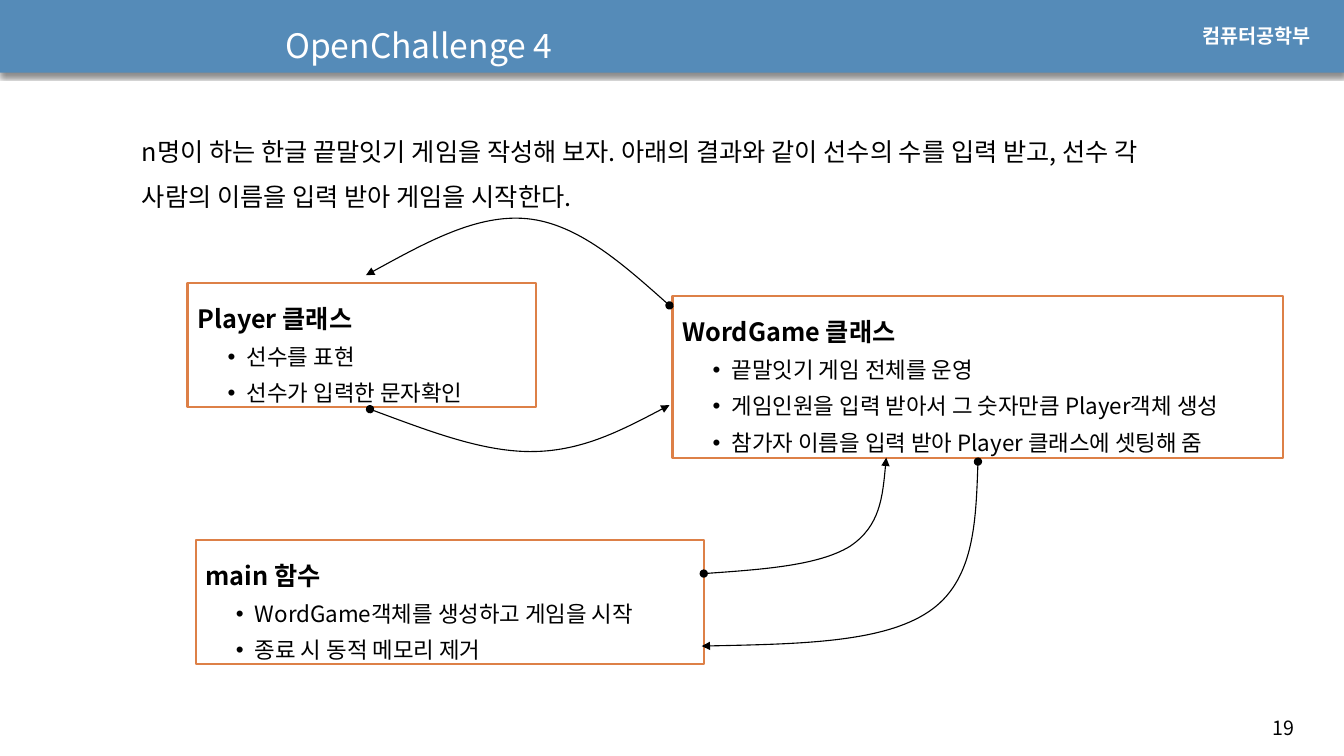
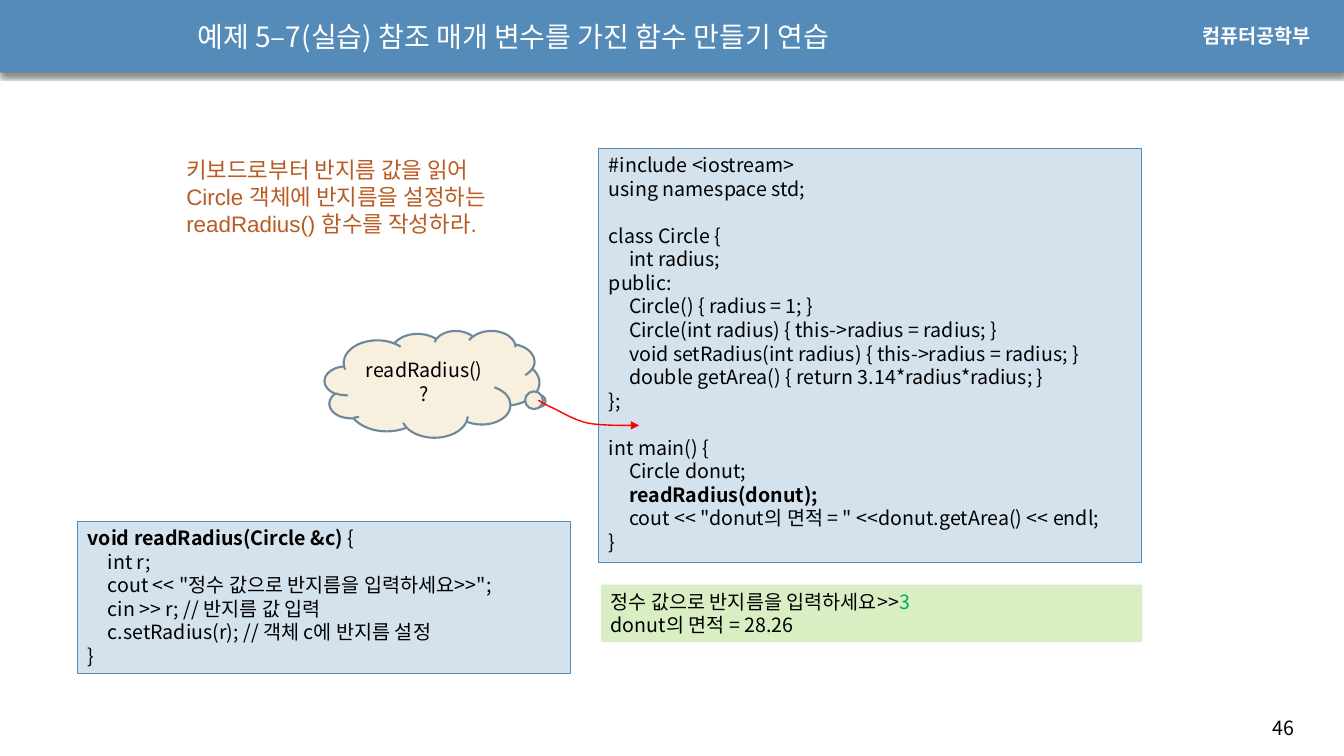
"""Build two C++ lecture slides: a word-chain game design and a reference-parameter exercise."""
from dataclasses import dataclass

from lxml import etree
from pptx import Presentation
from pptx import util as u
from pptx.dml.color import RGBColor
from pptx.enum import shapes, text
from pptx.oxml.ns import qn


@dataclass(frozen=True)
class Theme:
    band: str = "558BB8"
    white: str = "FFFFFF"
    ink: str = "000000"
    class_line: str = "DD8047"
    code_fill: str = "D4E2ED"
    result_fill: str = "DAEEC4"
    cloud_fill: str = "F7F0DE"
    cloud_line: str = "6D879B"
    task: str = "B95B22"
    typed: str = "00B050"
    pointer: str = "FF0000"
    font: str = "Noto Sans CJK KR"
    plain_font: str = "Arial"
    title: int = 24
    long_title: int = 20
    heading: int = 18
    body: int = 16
    small: int = 14
    single: float = 1.2
    loose: float = 1.8
    bullet_pitch: int = 26


THEME = Theme()
BOLD = {"bold": True}
DEPARTMENT = "컴퓨터공학부"

GAME_TITLE = ("OpenChallenge 4", (2.73, 0.13, 3.15, 0.63), THEME.title, "19")
GAME_INTRO = ("n명이 하는 한글 끝말잇기 게임을 작성해 보자. 아래의 결과와 같이 선수의 수를 입력 받고, "
              "선수 각 사람의 이름을 입력 받아 게임을 시작한다.")
GAME_PARTS = [
    ("Player 클래스", (1.86, 2.81, 3.46, 1.23), ["선수를 표현", "선수가 입력한 문자확인"]),
    ("main 함수", (1.94, 5.36, 5.04, 1.23),
     ["WordGame객체를 생성하고 게임을 시작", "종료 시 동적 메모리 제거"]),
    ("WordGame 클래스", (6.67, 2.94, 6.06, 1.6),
     ["끝말잇기 게임 전체를 운영",
      "게임인원을 입력 받아서 그 숫자만큼 Player객체 생성",
      "참가자 이름을 입력 받아 Player 클래스에 셋팅해 줌"]),
]
GAME_CALLS = [
    [(6.64, 3.03), (6.19, 2.63), (5.73, 2.22), (5.23, 2.17),
     (4.73, 2.12), (4.18, 2.43), (3.63, 2.73)],
    [(3.67, 4.06), (4.24, 4.27), (4.8, 4.49), (5.3, 4.48),
     (5.79, 4.47), (6.22, 4.24), (6.64, 4.02)],
    [(6.98, 5.69), (7.55, 5.65), (8.12, 5.61), (8.43, 5.42),
     (8.73, 5.22), (8.76, 4.88), (8.79, 4.54)],
    [(9.7, 4.58), (9.68, 5.17), (9.66, 5.77), (9.21, 6.07),
     (8.75, 6.38), (7.86, 6.39), (6.96, 6.41)],
]

RADIUS_TITLE = ("예제 5–7(실습) 참조 매개 변수를 가진 함수 만들기 연습",
                (1.86, 0.05, 7.4, 0.63), THEME.long_title, "46")
RADIUS_TASK = ["키보드로부터 반지름 값을 읽어", "Circle 객체에 반지름을 설정하는",
               "readRadius() 함수를 작성하라."]
CIRCLE_CODE = [
    "#include <iostream>",
    "using namespace std;",
    "",
    "class Circle {",
    "\tint radius;",
    "public:",
    "\tCircle() { radius = 1; }",
    "\tCircle(int radius) { this->radius = radius; }",
    "\tvoid setRadius(int radius) { this->radius = radius; }",
    "\tdouble getArea() { return 3.14*radius*radius; }",
    "};",
    "",
    "int main() {",
    "\tCircle donut;",
    [("\t", {}), ("readRadius(donut);", BOLD)],
    "\tcout << \"donut의 면적 = \" <<donut.getArea() << endl;",
    "}",
]
READ_CODE = [
    [("void readRadius(Circle &c) ", BOLD), ("{", {})],
    "\tint r;",
    "\tcout << \"정수 값으로 반지름을 입력하세요>>\";",
    "\tcin >> r; // 반지름 값 입력",
    "\tc.setRadius(r); // 객체 c에 반지름 설정",
    "}",
]
RESULT = [
    [("정수 값으로 반지름을 입력하세요>>", {}), ("3", {"color": THEME.typed})],
    "donut의 면적 = 28.26",
]
CODE_PANELS = [((5.94, 1.47, 5.38, 4.11), CIRCLE_CODE), ((0.77, 5.17, 4.89, 1.51), READ_CODE)]
CLOUD_TEXT = "readRadius() ?"
CLOUD_POINTER = [(5.34, 3.97), (5.37, 3.99), (5.4, 4.01), (5.49, 4.05),
                 (5.57, 4.09), (5.7, 4.17), (5.84, 4.2),
                 (5.98, 4.22), (6.16, 4.22), (6.34, 4.22)]


def inches(values):
    return [u.Inches(value) for value in values]


def style_run(run, size, color=THEME.ink, bold=False, font=THEME.font):
    run.font.size = u.Pt(size)
    run.font.bold = bold
    run.font.name = font
    run.font.color.rgb = RGBColor.from_string(color)
    latin = run.font._element.find(qn("a:latin"))
    east_asian = etree.Element(qn("a:ea"), typeface=THEME.font)
    latin.addnext(east_asian)


def write(shape, lines, size=THEME.small, spacing=THEME.single, pitch=None, bullet=False,
          tab=None, align=text.PP_ALIGN.LEFT, anchor=text.MSO_ANCHOR.TOP, more=False, **style):
    """Write lines, each a string or a list of (text, style) runs, into a shape."""
    frame = shape.text_frame
    frame.word_wrap = True
    frame.vertical_anchor = anchor
    for index, line in enumerate(lines):
        paragraph = frame.add_paragraph() if more or index else frame.paragraphs[0]
        paragraph.alignment = align
        paragraph.line_spacing = u.Pt(pitch or size * spacing)
        properties = paragraph._p.get_or_add_pPr()
        if bullet:
            paragraph.level = 1
            properties.set("marL", str(u.Inches(0.49)))
            properties.set("indent", str(u.Inches(-0.19)))
            etree.SubElement(properties, qn("a:buFont"), typeface=THEME.plain_font)
            etree.SubElement(properties, qn("a:buChar"), char="•")
        if tab:
            stops = etree.SubElement(properties, qn("a:tabLst"))
            etree.SubElement(stops, qn("a:tab"), pos=str(u.Inches(tab)), algn="l")
        runs = [(line, {})] if isinstance(line, str) else line
        for words, changes in runs:
            if words:
                run = paragraph.add_run()
                run.text = words
                style_run(run, size, **{**style, **changes})


def add_text(slide, at, lines, **style):
    write(slide.shapes.add_textbox(*inches(at)), lines, **style)


def add_panel(slide, at, fill, line=None, width=0.75, preset=shapes.MSO_SHAPE.RECTANGLE):
    panel = slide.shapes.add_shape(preset, *inches(at))
    panel.shadow.inherit = False
    panel.fill.solid()
    panel.fill.fore_color.rgb = RGBColor.from_string(fill)
    if line:
        panel.line.color.rgb = RGBColor.from_string(line)
        panel.line.width = u.Pt(width)
    else:
        panel.line.fill.background()
    return panel


def add_curve(slide, points, color, width, dot=False):
    start, *rest = [inches(point) for point in points]
    builder = slide.shapes.build_freeform(*start)
    builder.add_line_segments(rest, close=False)
    curve = builder.convert_to_shape()
    curve.shadow.inherit = False
    curve.fill.background()
    curve.line.color.rgb = RGBColor.from_string(color)
    curve.line.width = u.Pt(width)
    outline = next(curve._element.iter(qn("a:path")))
    steps = outline.findall(qn("a:lnTo"))
    for first in range(0, len(steps), 3):
        bend = etree.SubElement(outline, qn("a:cubicBezTo"))
        for step in steps[first:first + 3]:
            bend.append(step[0])
            outline.remove(step)
    stroke = curve._element.spPr.find(qn("a:ln"))
    if dot:
        etree.SubElement(stroke, qn("a:headEnd"), type="oval")
    etree.SubElement(stroke, qn("a:tailEnd"), type="triangle")


def add_band(slide):
    band = add_panel(slide, (0, -0.01, 13.33, 0.73), THEME.band)
    effects = band._element.spPr.find(qn("a:effectLst"))
    shadow = etree.SubElement(effects, qn("a:outerShdw"), blurRad=str(u.Pt(3)),
                              dist=str(u.Pt(2.4)), dir="5400000", rotWithShape="0")
    shade = etree.SubElement(shadow, qn("a:srgbClr"), val=THEME.ink)
    etree.SubElement(shade, qn("a:alpha"), val="45000")


def start_slide(deck, title, title_at, title_size, number):
    slide = deck.slides.add_slide(deck.slide_layouts[6])
    add_band(slide)
    add_text(slide, (12.52, 7.05, 0.71, 0.34), [number])
    add_text(slide, (11.83, 0.19, 1.37, 0.34), [DEPARTMENT], color=THEME.white, bold=True,
             font=THEME.plain_font)
    add_text(slide, title_at, [title], size=title_size, color=THEME.white,
             anchor=text.MSO_ANCHOR.MIDDLE)
    return slide


def build_game(deck):
    slide = start_slide(deck, *GAME_TITLE)
    add_text(slide, (1.31, 1.15, 10.32, 0.94), [GAME_INTRO], size=THEME.heading,
             spacing=THEME.loose)
    for heading, at, duties in GAME_PARTS:
        part = add_panel(slide, at, THEME.white, THEME.class_line, 1.5)
        write(part, [heading], size=THEME.heading, spacing=THEME.loose, bold=True)
        write(part, duties, size=THEME.body, pitch=THEME.bullet_pitch, bullet=True, more=True)
    for call in GAME_CALLS:
        add_curve(slide, call, THEME.ink, 0.79, dot=True)


def build_radius(deck):
    slide = start_slide(deck, *RADIUS_TITLE)
    for at, code in CODE_PANELS:
        write(add_panel(slide, at, THEME.code_fill, THEME.band), code, tab=0.2)
    write(add_panel(slide, (5.96, 5.8, 5.37, 0.57), THEME.result_fill), RESULT)
    add_text(slide, (1.75, 1.5, 3.54, 0.91), RADIUS_TASK, size=THEME.body, color=THEME.task,
             font=THEME.plain_font)
    cloud = add_panel(slide, (3.22, 3.28, 2.13, 1.06), THEME.cloud_fill, THEME.cloud_line, 1.5,
                      shapes.MSO_SHAPE.CLOUD_CALLOUT)
    cloud.adjustments[0], cloud.adjustments[1] = 0.5, 0.16
    write(cloud, [CLOUD_TEXT], align=text.PP_ALIGN.CENTER, anchor=text.MSO_ANCHOR.MIDDLE)
    add_curve(slide, CLOUD_POINTER, THEME.pointer, 1)


def main():
    deck = Presentation()
    deck.slide_width, deck.slide_height = inches((13.33, 7.5))
    build_game(deck)
    build_radius(deck)
    deck.save("out.pptx")


if __name__ == "__main__":
    main()
